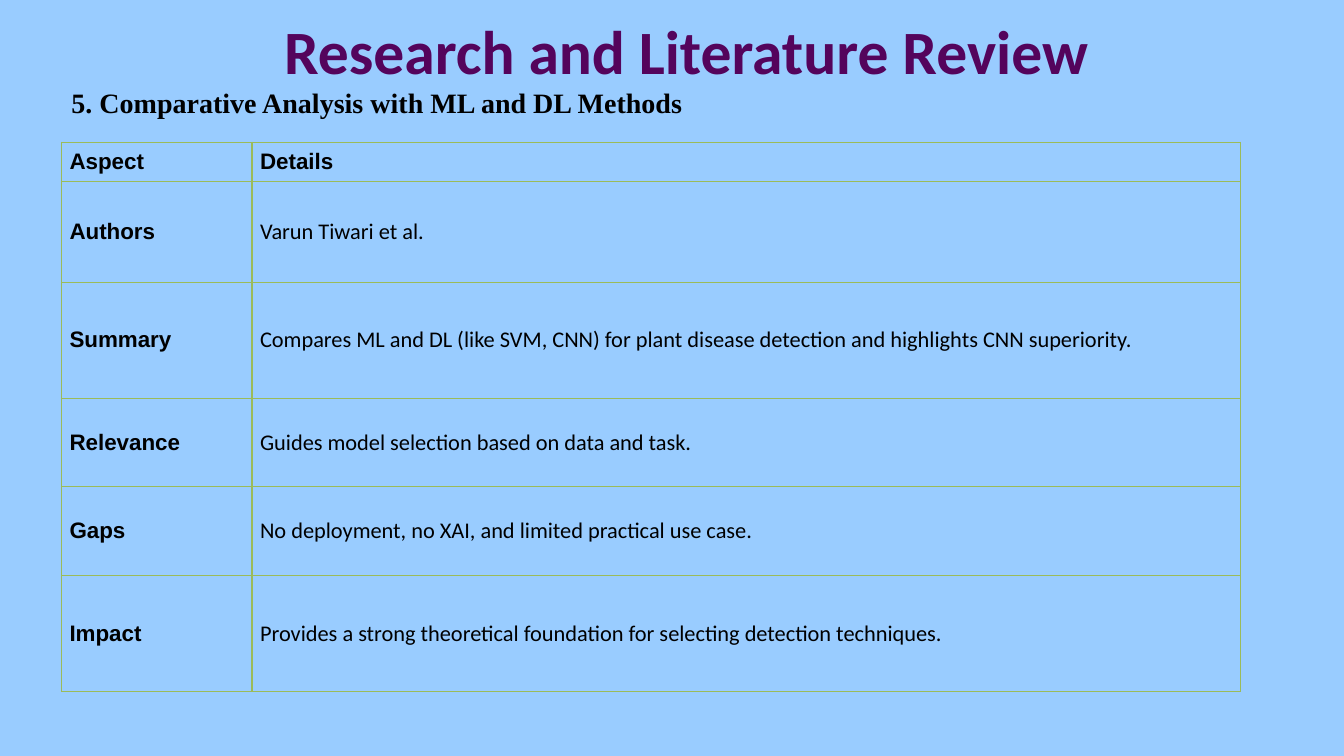
from lxml import etree
from pptx import Presentation
from pptx.dml.color import RGBColor
from pptx.enum.text import MSO_ANCHOR as Anchor, PP_ALIGN as Align
from pptx.oxml.ns import qn
from pptx.util import Inches, Pt

TITLE = "Research and Literature Review "
SUBTITLE = "5. Comparative Analysis with ML and DL Methods"
ROWS = [  # aspect, details, row height
    ("Aspect", "Details", 0.39),
    ("Authors", "Varun Tiwari et al.", 1),
    ("Summary", "Compares ML and DL (like SVM, CNN) for plant disease detection "
                "and highlights CNN superiority.", 1.15),
    ("Relevance", "Guides model selection based on data and task.", 0.88),
    ("Gaps", "No deployment, no XAI, and limited practical use case.", 0.88),
    ("Impact", "Provides a strong theoretical foundation for selecting "
               "detection techniques.", 1.15),
]
COL_WIDTHS = (1.89, 9.8)
LEFT = 0.61

SKY = RGBColor(0x99, 0xCC, 0xFF)
PURPLE = RGBColor(0x54, 0x04, 0x5C)
BLACK = RGBColor(0, 0, 0)
GREEN = RGBColor(0x9B, 0xBB, 0x59)


def add_run(p, text, font, size, color, bold=True):
    r = p.add_run()
    r.text = text
    r.font.name = font
    r.font.size = Pt(size)
    r.font.bold = bold
    r.font.color.rgb = color


def add_text(s, box, text, font, size, color, align, anchor):
    tf = s.shapes.add_textbox(*map(Inches, box)).text_frame
    tf.word_wrap = True
    tf.vertical_anchor = anchor
    p = tf.paragraphs[0]
    p.alignment = align
    add_run(p, text, font, size, color)


def set_borders(cell, color, width):
    tc_pr = cell._tc.get_or_add_tcPr()
    for side in "LRTB":
        ln = etree.SubElement(tc_pr, qn(f"a:ln{side}"), w=str(Pt(width)))
        fill = etree.SubElement(ln, qn("a:solidFill"))
        etree.SubElement(fill, qn("a:srgbClr"), val=str(color))


def add_review_table(s):
    heights = [height for _, _, height in ROWS]
    box = (LEFT, 1.41, sum(COL_WIDTHS), sum(heights))
    table = s.shapes.add_table(len(ROWS), len(COL_WIDTHS), *map(Inches, box)).table
    table.horz_banding = False
    table.first_row = False
    for col, width in zip(table.columns, COL_WIDTHS):
        col.width = Inches(width)
    for i, (aspect, details, height) in enumerate(ROWS):
        table.rows[i].height = Inches(height)
        for j, text in enumerate((aspect, details)):
            cell = table.cell(i, j)
            heading = i == 0 or j == 0
            set_borders(cell, GREEN, 1)
            cell.fill.background()
            cell.vertical_anchor = Anchor.MIDDLE
            cell.margin_left = cell.margin_right = Inches(0.08)
            cell.margin_top = cell.margin_bottom = Inches(0.04)
            add_run(cell.text_frame.paragraphs[0], text,
                    "Arial" if heading else "Calibri", 16, BLACK, heading)


def main():
    prs = Presentation()
    prs.slide_width, prs.slide_height = Inches(13.33), Inches(7.5)
    s = prs.slides.add_slide(prs.slide_layouts[6])
    s.background.fill.solid()
    s.background.fill.fore_color.rgb = SKY
    add_text(s, (0.88, -0.13, 12, 1.25), TITLE, "Calibri", 44, PURPLE,
             Align.CENTER, Anchor.MIDDLE)
    add_text(s, (LEFT, 0.8, 12, 0.5), SUBTITLE, "Times New Roman", 20, BLACK,
             Align.LEFT, Anchor.TOP)
    add_review_table(s)
    prs.save("out.pptx")


if __name__ == "__main__":
    main()
